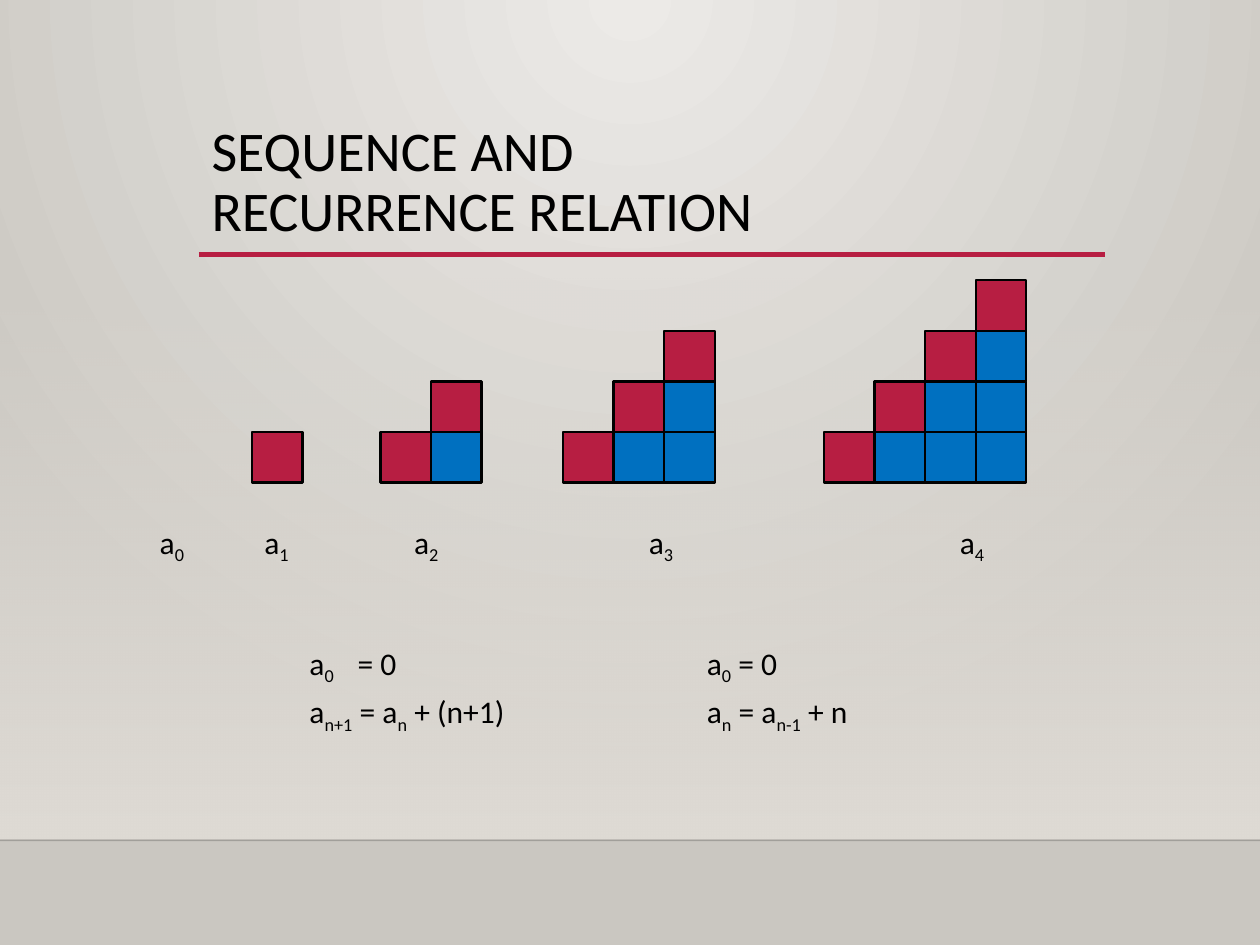
from pptx import Presentation
from pptx.dml.color import RGBColor
from pptx.enum.shapes import MSO_CONNECTOR as CONN, MSO_SHAPE as SHAPE
from pptx.enum.text import MSO_ANCHOR as ANCHOR, MSO_AUTO_SIZE as AUTO, PP_ALIGN as ALIGN
from pptx.oxml import parse_xml
from pptx.oxml.ns import nsdecls, qn
from pptx.util import Cm, Pt

RED, BLUE, BLACK = "B71E42", "0070C0", "000000"
CELL = 1.02       # side of one square
BASE_TOP = 8.71   # top of the lowest row of squares


def color(value):
    return RGBColor.from_string(value)


def set_gradient(parent, stops, shading):
    """Replace the solid fill in parent by a gradient of (position, colour, alpha)."""
    gs = "".join(
        f'<a:gs pos="{pos * 1000}"><a:srgbClr val="{c}">'
        f'<a:alpha val="{alpha * 1000}"/></a:srgbClr></a:gs>'
        for pos, c, alpha in stops)
    solid = parent.find(qn("a:solidFill"))
    parent.replace(solid, parse_xml(
        f'<a:gradFill {nsdecls("a")} rotWithShape="1">'
        f'<a:gsLst>{gs}</a:gsLst>{shading}</a:gradFill>'))


class Deck:
    font = {"name": "Calibri", "size": Pt(18)}

    def __init__(self):
        self.prs = Presentation()
        self.prs.slide_width, self.prs.slide_height = Cm(25.4), Cm(19.05)
        self.s = self.prs.slides.add_slide(self.prs.slide_layouts[5])

    def style(self, r, **changes):
        for key, value in {**self.font, **changes}.items():
            setattr(r.font, key, value)
        r.font.color.rgb = color(BLACK)

    def background(self, stops, shading):
        self.s.background.fill.solid()
        set_gradient(self.s._element.find(".//" + qn("p:bgPr")), stops, shading)

    def title(self, text, x, y, w, h):
        sp = self.s.shapes.title
        sp.left, sp.top, sp.width, sp.height = map(Cm, (x, y, w, h))
        tf = sp.text_frame
        tf.word_wrap, tf.vertical_anchor = True, ANCHOR.MIDDLE
        p = tf.paragraphs[0]
        p.text = text
        p.alignment, p.line_spacing = ALIGN.LEFT, 0.9
        for r in p.runs:
            self.style(r, size=Pt(32))

    def rect(self, x, y, w, h, fill, outline=None):
        sp = self.s.shapes.add_shape(SHAPE.RECTANGLE, *map(Cm, (x, y, w, h)))
        sp.shadow.inherit = False
        sp.fill.solid()
        sp.fill.fore_color.rgb = color(fill)
        if outline:
            sp.line.color.rgb = color(outline)
            sp.line.width = Pt(1.25)
        else:
            sp.line.fill.background()
        return sp

    def line(self, x1, x2, y, stroke, width, alpha=100):
        ln = self.s.shapes.add_connector(CONN.STRAIGHT, *map(Cm, (x1, y, x2, y)))
        ln.line.color.rgb = color(stroke)
        ln.line.width = Pt(width)
        ln._element.spPr.append(parse_xml(f'<a:effectLst {nsdecls("a")}/>'))
        clr = ln._element.spPr.find(".//" + qn("a:srgbClr"))
        clr.append(parse_xml(f'<a:alpha {nsdecls("a")} val="{alpha * 1000}"/>'))

    def formula(self, x, y, w, parts, tab=None):
        """Text whose parts alternate between normal and subscript."""
        tf = self.s.shapes.add_textbox(*map(Cm, (x, y, w, 1.02))).text_frame
        tf.word_wrap, tf.auto_size = False, AUTO.SHAPE_TO_FIT_TEXT
        p = tf.paragraphs[0]
        if tab:
            p._p.get_or_add_pPr().append(parse_xml(
                f'<a:tabLst {nsdecls("a")}><a:tab pos="{Cm(tab)}" algn="l"/></a:tabLst>'))
        for i, part in enumerate(parts):
            r = p.add_run()
            r.text = part
            self.style(r)
            if i % 2:
                r._r.get_or_add_rPr().set("baseline", "-25000")

    def staircase(self, x, steps):
        for col in range(steps):
            for row in range(col + 1):
                fill = RED if row == col else BLUE
                self.rect(x + col * CELL, BASE_TOP - row * CELL, CELL, CELL, fill, BLACK)


def main():
    deck = Deck()

    # Backdrop: wall, floor edge and title rule
    deck.background(
        [(0, "ECEAE7", 100), (100, "CAC7C1", 100)],
        '<a:path path="circle"><a:fillToRect l="43000" r="43000" b="100000"/></a:path>')
    wall = deck.rect(0, 5.59, 25.4, 11.33, "DFDBD5")
    set_gradient(wall._element.spPr, [(0, "DFDBD5", 0), (100, "DFDBD5", 100)],
                 '<a:lin ang="5400000" scaled="0"/>')
    deck.line(0, 25.4, 16.94, "000001", 1, alpha=20)
    deck.line(4.01, 22.28, 5.13, RED, 2.5)

    deck.title("SEQUENCE AND \vRECURRENCE RELATION", 4.01, 2.24, 18.26, 2.92)

    # Staircases of one to four steps
    for steps, x in enumerate((5.08, 7.67, 11.35, 16.61), start=1):
        deck.staircase(x, steps)

    # Names of the terms
    for n, x in enumerate((2.97, 5.08, 8.1, 12.83, 19.1)):
        deck.formula(x, 10.41, 1.04, ["a", str(n)])

    # Two forms of the recurrence
    first, second = 12.85, 13.82
    deck.formula(5.99, first, 2.36, ["a", "0", "\t= 0"], tab=0.97)
    deck.formula(5.99, second, 4.6, ["a", "n+1", " = a", "n", " + (n+1)"])
    deck.formula(14, first, 1.98, ["a", "0", " = 0"])
    deck.formula(14, second, 3.48, ["a", "n", " = a", "n-1", " + n"])

    deck.prs.save("out.pptx")


if __name__ == "__main__":
    main()
